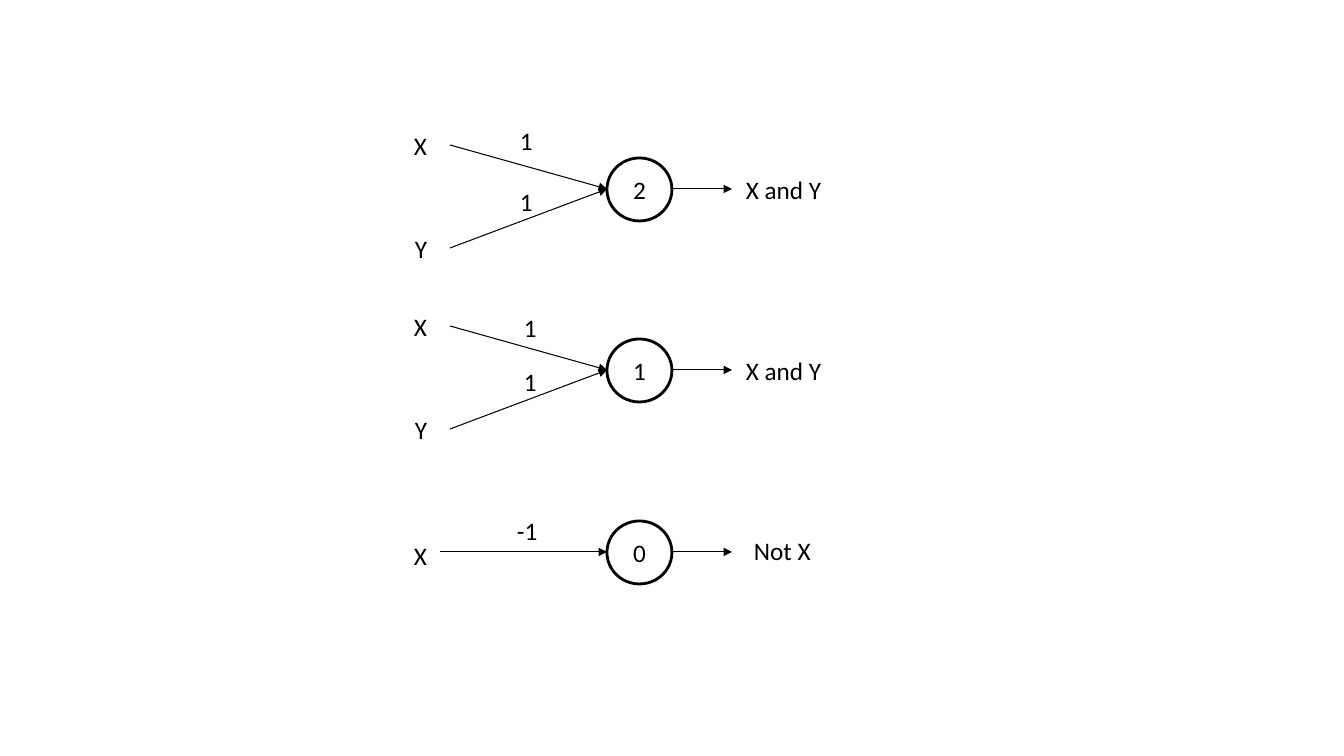
from lxml.etree import SubElement
from pptx import Presentation
from pptx.dml.color import RGBColor
from pptx.enum.shapes import MSO_CONNECTOR, MSO_SHAPE
from pptx.enum.text import MSO_ANCHOR, PP_ALIGN
from pptx.oxml.ns import qn
from pptx.util import Emu, Pt

PX = 914400 / 100.8
COLORS = {"ink": "000000", "paper": "FFFFFF"}
INK = RGBColor.from_string(COLORS["ink"])
PAPER = RGBColor.from_string(COLORS["paper"])

deck = Presentation()
deck.slide_width, deck.slide_height = Emu(int(1344 * PX)), Emu(int(756 * PX))
page = deck.slides.add_slide(deck.slide_layouts[6])


def add_arrow(*ends):
    arrow = page.shapes.add_connector(
        MSO_CONNECTOR.STRAIGHT, *[Emu(round(end * PX)) for end in ends])
    arrow.line.color.rgb = INK
    arrow.line.width = Pt(0.75)
    SubElement(arrow.line._get_or_add_ln(), qn("a:tailEnd"), type="triangle")
    SubElement(arrow._element.spPr, qn("a:effectLst"))


def add_text(text, left, top, width, height=40, circle=False):
    area = [Emu(round(length * PX)) for length in (left, top, width, height)]
    if circle:
        box = page.shapes.add_shape(MSO_SHAPE.OVAL, *area)
        box.shadow.inherit = False
        box.fill.solid()
        box.fill.fore_color.rgb = PAPER
        box.line.color.rgb = INK
        box.line.width = Pt(2)
        box.text_frame.vertical_anchor = MSO_ANCHOR.MIDDLE
    else:
        box = page.shapes.add_textbox(*area)
        box.text_frame.word_wrap = False
    para = box.text_frame.paragraphs[0]
    para.text = text
    para.alignment = PP_ALIGN.CENTER if circle else PP_ALIGN.LEFT
    para.font.name = "Calibri"
    para.font.size = Pt(18)
    para.font.color.rgb = INK


# Each neuron: centre height, threshold, output (text, left, rise, width)
# Inputs: name, label left and offset, arrow start and offset
# Weights: text, left, offset, width
INPUT_PAIR = [("X", 404, -64, 450, -44), ("Y", 405, 39, 450, 59)]
NEURONS = [
    (189, "2", ("X and Y", 736, 20, 116), INPUT_PAIR,
     [("1", 510, -69, 35), ("1", 510, -8, 35)]),
    (370, "1", ("X and Y", 736, 20, 116), INPUT_PAIR,
     [("1", 514, -63, 35), ("1", 514, -9, 35)]),
    (552, "0", ("Not X", 744, 22, 90), [("X", 404, -17, 440, 0)],
     [("-1", 507, -42, 44)]),
]

for middle, threshold, output, inputs, weights in NEURONS:
    # Inputs and their arrows
    for name, left, label_offset, start, start_offset in inputs:
        add_arrow(start, middle + start_offset, 607, middle)
        add_text(name, left, middle + label_offset, 37)

    # Neuron with its threshold
    add_text(threshold, 607, middle - 31, 65, 63, circle=True)

    # Output
    add_arrow(672, middle, 732, middle)
    result, left, rise, width = output
    add_text(result, left, middle - rise, width)

    # Weights
    for weight, left, offset, width in weights:
        add_text(weight, left, middle + offset, width)

deck.save("out.pptx")
